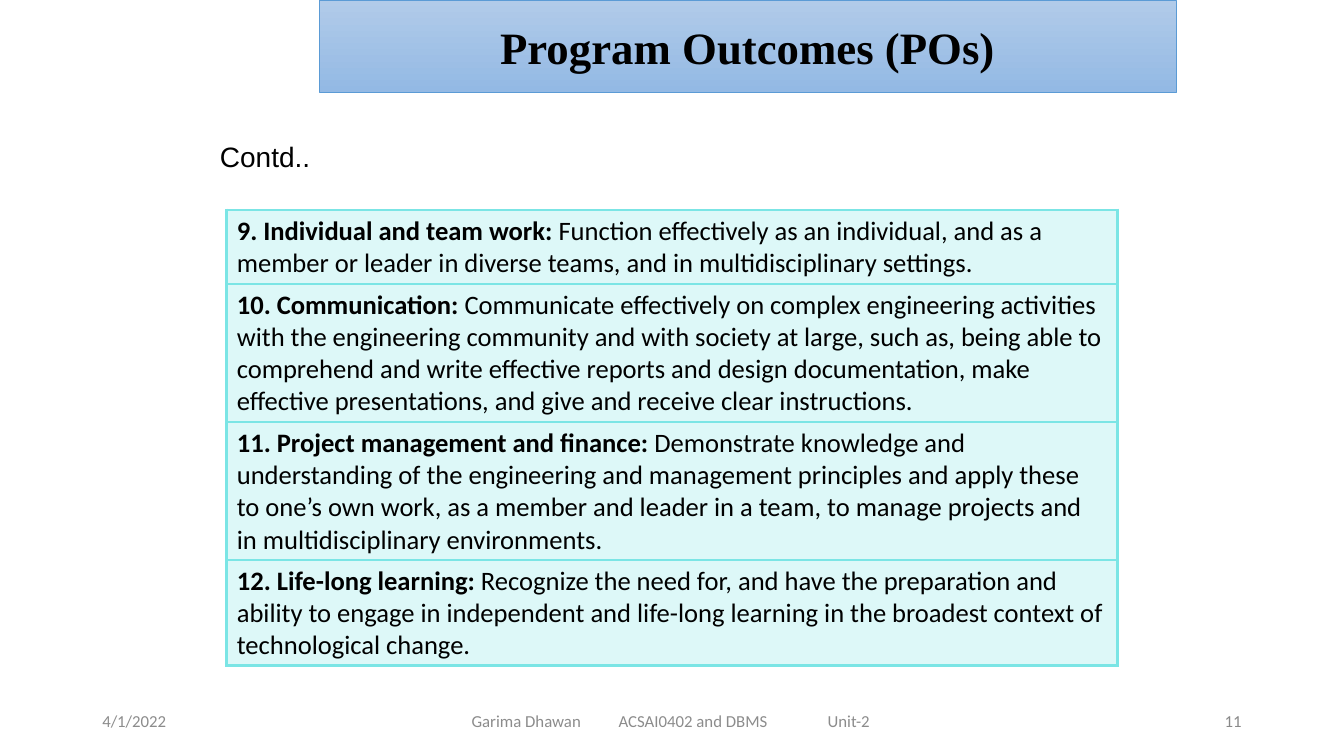
from lxml import etree
from pptx import Presentation, util as u
from pptx.dml.color import RGBColor
from pptx.enum import shapes, text
from pptx.oxml.ns import qn

COLORS = {"black": "000000", "footer": "8C8C8C", "number": "898989", "aqua": "7BE5E5",
          "top": "B1CBE9", "bottom": "93B9E4", "edge": "5B9BD5"}
OUTCOMES = [
    ("9. Individual and team work: ",
     "Function effectively as an individual, and as a member or leader in diverse teams, "
     "and in multidisciplinary settings.", 52.6),
    ("10. Communication: ",
     "Communicate effectively on complex engineering activities with the engineering community "
     "and with society at large, such as, being able to comprehend and write effective reports "
     "and design documentation, make effective presentations, and give and receive clear "
     "instructions.", 98.6),
    ("11. Project management and finance:",
     " Demonstrate knowledge and understanding of the engineering and management principles and "
     "apply these to one’s own work, as a member and leader in a team, to manage projects and in "
     "multidisciplinary environments.", 98.6),
    ("12. Life-long learning: ",
     "Recognize the need for, and have the preparation and ability to engage in independent and "
     "life-long learning in the broadest context of technological change.", 75.6),
]


def rgb(name):
    """Return the named palette colour."""
    return RGBColor.from_string(COLORS[name])


def add_run(p, words, color="black", **fmt):
    """Append a run with the given font attributes."""
    r = p.add_run()
    r.text = words
    r.font.color.rgb = rgb(color)
    for key, value in fmt.items():
        setattr(r.font, key, value)


def add_text(s, box, words, color, align, anchor, wrap=True, **fmt):
    """Add a one-paragraph text box and return it."""
    sp = s.shapes.add_textbox(*map(u.Pt, box))
    tf = sp.text_frame
    for key, value in {"word_wrap": wrap, "vertical_anchor": anchor}.items():
        setattr(tf, key, value)
    p = tf.paragraphs[0]
    p.alignment = align
    add_run(p, words, color, **fmt)
    return sp


def add_banner(s, box):
    """Add the gradient title banner."""
    sp = s.shapes.add_shape(shapes.MSO_SHAPE.RECTANGLE, *map(u.Pt, box))
    sp.shadow.inherit = False
    sp.fill.gradient()
    sp.fill.gradient_angle = 270
    for stop, name, position in zip(sp.fill.gradient_stops, ("top", "bottom"), (0, 1)):
        stop.color.rgb = rgb(name)
        stop.position = position
    sp.line.color.rgb = rgb("edge")
    sp.line.width = u.Pt(0.5)
    tf = sp.text_frame
    tf.vertical_anchor = text.MSO_ANCHOR.MIDDLE
    p = tf.paragraphs[0]
    p.alignment = text.PP_ALIGN.CENTER
    add_run(p, "Program Outcomes (POs)", name="Times New Roman", size=u.Pt(32), bold=True)


def style_cell(cell):
    """Give a cell aqua borders and a translucent aqua fill."""
    tcPr = cell._tc.get_or_add_tcPr()
    for side in ("a:lnL", "a:lnR", "a:lnT", "a:lnB"):
        ln = etree.SubElement(tcPr, qn(side), w=str(u.Pt(2.25)))
        fill = etree.SubElement(ln, qn("a:solidFill"))
        etree.SubElement(fill, qn("a:srgbClr"), val=COLORS["aqua"])
    cell.fill.solid()
    cell.fill.fore_color.rgb = rgb("aqua")
    color = tcPr.find(qn("a:solidFill")).find(qn("a:srgbClr"))
    etree.SubElement(color, qn("a:alpha"), val="25000")


def add_outcomes(s, left, top, width):
    """Add the table of outcomes, one row each."""
    height = sum(row[2] for row in OUTCOMES)
    box = map(u.Pt, (left, top, width, height))
    table = s.shapes.add_table(len(OUTCOMES), 1, *box).table
    table.first_row = table.horz_banding = False
    for row, (heading, body, row_height) in zip(table.rows, OUTCOMES):
        row.height = u.Pt(row_height)
        cell = row.cells[0]
        style_cell(cell)
        p = cell.text_frame.paragraphs[0]
        for words, bold in ((heading, True), (body, False)):
            add_run(p, words, name="Calibri", size=u.Pt(19), bold=bold)


def add_footer(s, left, top, width, height):
    """Add the date, course line and slide number."""
    fmt = {"name": "Calibri", "size": u.Pt(12)}
    middle, align = text.MSO_ANCHOR.MIDDLE, text.PP_ALIGN
    side = 216
    add_text(s, (left, top, side, height), "4/1/2022", "footer", align.LEFT, middle, **fmt)
    course = add_text(s, (left + 252, top, 324, height),
                      "Garima Dhawan\tACSAI0402 and DBMS\tUnit-2",
                      "footer", align.LEFT, middle, **fmt)
    course.text_frame.margin_left = u.Pt(18.9)
    pPr = course.text_frame.paragraphs[0]._p.get_or_add_pPr()
    tabs = etree.SubElement(pPr, qn("a:tabLst"))
    for stop in (105, 254.3):
        etree.SubElement(tabs, qn("a:tab"), pos=str(u.Pt(stop)), algn="l")
    add_text(s, (left + width - side, top, side, height), "11", "number",
             align.RIGHT, middle, **fmt)


def main():
    """Build and save the slide."""
    prs = Presentation()
    prs.slide_width, prs.slide_height = u.Pt(960), u.Pt(540)
    s = prs.slides.add_slide(prs.slide_layouts[6])
    add_footer(s, 66, 500.5, 828, 28.8)
    add_outcomes(s, 162, 150, 636)
    add_text(s, (150, 96, 79, 31.5), "Contd..", "black", text.PP_ALIGN.LEFT,
             text.MSO_ANCHOR.TOP, wrap=False, name="Arial", size=u.Pt(20))
    add_banner(s, (228, 0, 612, 66))
    prs.save("out.pptx")


if __name__ == "__main__":
    main()
